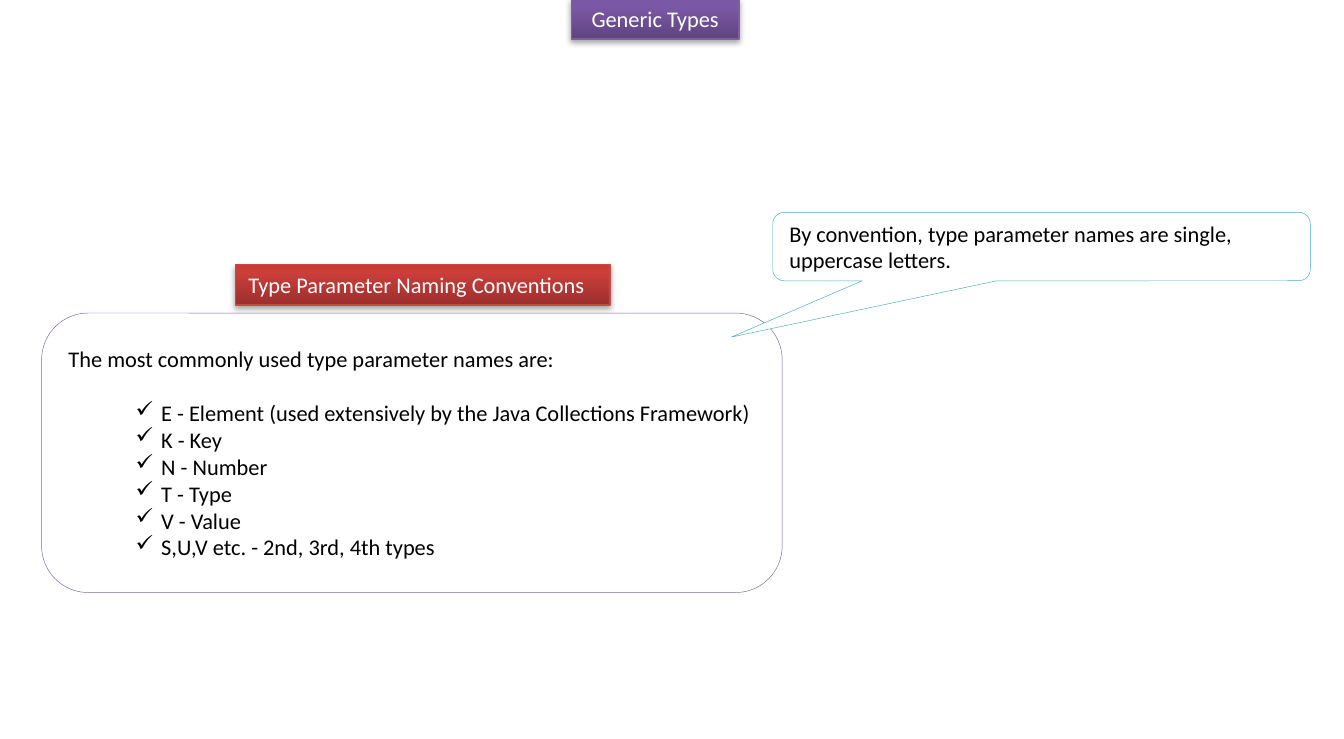
import copy

import pptx
import pptx.dml.color
import pptx.enum.shapes
import pptx.enum.text
import pptx.oxml
import pptx.oxml.ns
import pptx.util
from pptx.util import Inches

SHAPE = pptx.enum.shapes.MSO_SHAPE
ANCHOR = pptx.enum.text.MSO_ANCHOR
ALIGN = pptx.enum.text.PP_ALIGN
qn = pptx.oxml.ns.qn

PURPLE_STOPS = [(0, "5F4480"), (0.8, "7B58A6"), (1, "7C57A8")]
RED_STOPS = [(0, "9C2F2D"), (0.8, "CB3E3A"), (1, "CE3B37")]
TYPE_NAMES = [
    "E - Element (used extensively by the Java Collections Framework)",
    "K - Key",
    "N - Number",
    "T - Type",
    "V - Value",
    "S,U,V etc. - 2nd, 3rd, 4th types",
]


def rgb(value):
    return pptx.dml.color.RGBColor.from_string(value)


def add_box(slide, kind, box, line, width):
    sp = slide.shapes.add_shape(kind, *[Inches(v) for v in box])
    sp.shadow.inherit = False
    sp.fill.solid()
    sp.fill.fore_color.rgb = rgb("FFFFFF")
    sp.line.color.rgb = rgb(line)
    sp.line.width = pptx.util.Pt(width)
    sp.text_frame.word_wrap = True
    sp.text_frame.vertical_anchor = ANCHOR.MIDDLE
    return sp


def write(p, text, color="000000", align=ALIGN.LEFT, bullet=None, after=0):
    p.alignment = align
    p.space_after = pptx.util.Pt(after)
    if bullet:
        p.level = 1
        pPr = p._p.get_or_add_pPr()
        pPr.set("marL", str(Inches(0.69)))
        pPr.set("indent", str(Inches(-0.19)))
        pPr.append(pptx.oxml.parse_xml(
            f'<a:buChar {pptx.oxml.ns.nsdecls("a")} char="{bullet}"/>'))
    r = p.add_run()
    r.text = text
    r.font.name = "Calibri"
    r.font.size = pptx.util.Pt(12)
    r.font.color.rgb = rgb(color)


def shade(sp, stops):
    """Fill with a bottom-to-top gradient and cast a soft shadow below."""
    sp.fill.gradient()
    sp.fill.gradient_angle = 90
    spPr = sp._element.spPr
    gs_list = spPr.find(".//" + qn("a:gsLst"))
    gs_list.append(copy.deepcopy(gs_list[-1]))
    for stop, (position, color) in zip(sp.fill.gradient_stops, stops):
        stop.position = position
        stop.color.rgb = rgb(color)
    spPr.find(qn("a:effectLst")).append(pptx.oxml.parse_xml(
        f'<a:outerShdw {pptx.oxml.ns.nsdecls("a")} blurRad="40000" dist="23000" '
        'dir="5400000" rotWithShape="0"><a:srgbClr val="000000">'
        '<a:alpha val="35000"/></a:srgbClr></a:outerShdw>'))


def add_banner(slide, box, text, stops, line, align):
    sp = add_box(slide, SHAPE.RECTANGLE, box, line, 0.75)
    shade(sp, stops)
    write(sp.text_frame.paragraphs[0], text, color="FFFFFF", align=align)


def add_names_panel(slide, box):
    sp = add_box(slide, SHAPE.ROUNDED_RECTANGLE, box, "8064A2", 0.25)
    tf = sp.text_frame
    write(tf.paragraphs[0], "The most commonly used type parameter names are:", after=14.6)
    for name in TYPE_NAMES:
        write(tf.add_paragraph(), name, bullet="✓")


def add_callout(slide, box, text):
    sp = add_box(slide, SHAPE.ROUNDED_RECTANGULAR_CALLOUT, box, "4BACC6", 0.25)
    for i, value in enumerate([-0.577, 1.322, 0.167]):
        sp.adjustments[i] = value
    write(sp.text_frame.paragraphs[0], text)


def main():
    prs = pptx.Presentation()
    prs.slide_width, prs.slide_height = Inches(10), Inches(5.5)
    slide = prs.slides.add_slide(prs.slide_layouts[6])
    add_banner(slide, (4.25, -0.01, 1.25, 0.3), "Generic Types",
               PURPLE_STOPS, "7D60A0", ALIGN.CENTER)
    add_names_panel(slide, (0.31, 2.33, 5.51, 2.08))
    add_banner(slide, (1.75, 1.97, 2.79, 0.3), "Type Parameter Naming Conventions",
               RED_STOPS, "BF4C48", ALIGN.LEFT)
    add_callout(slide, (5.75, 1.58, 4, 0.51),
                "By convention, type parameter names are single, uppercase letters.")
    prs.save("out.pptx")


if __name__ == "__main__":
    main()
